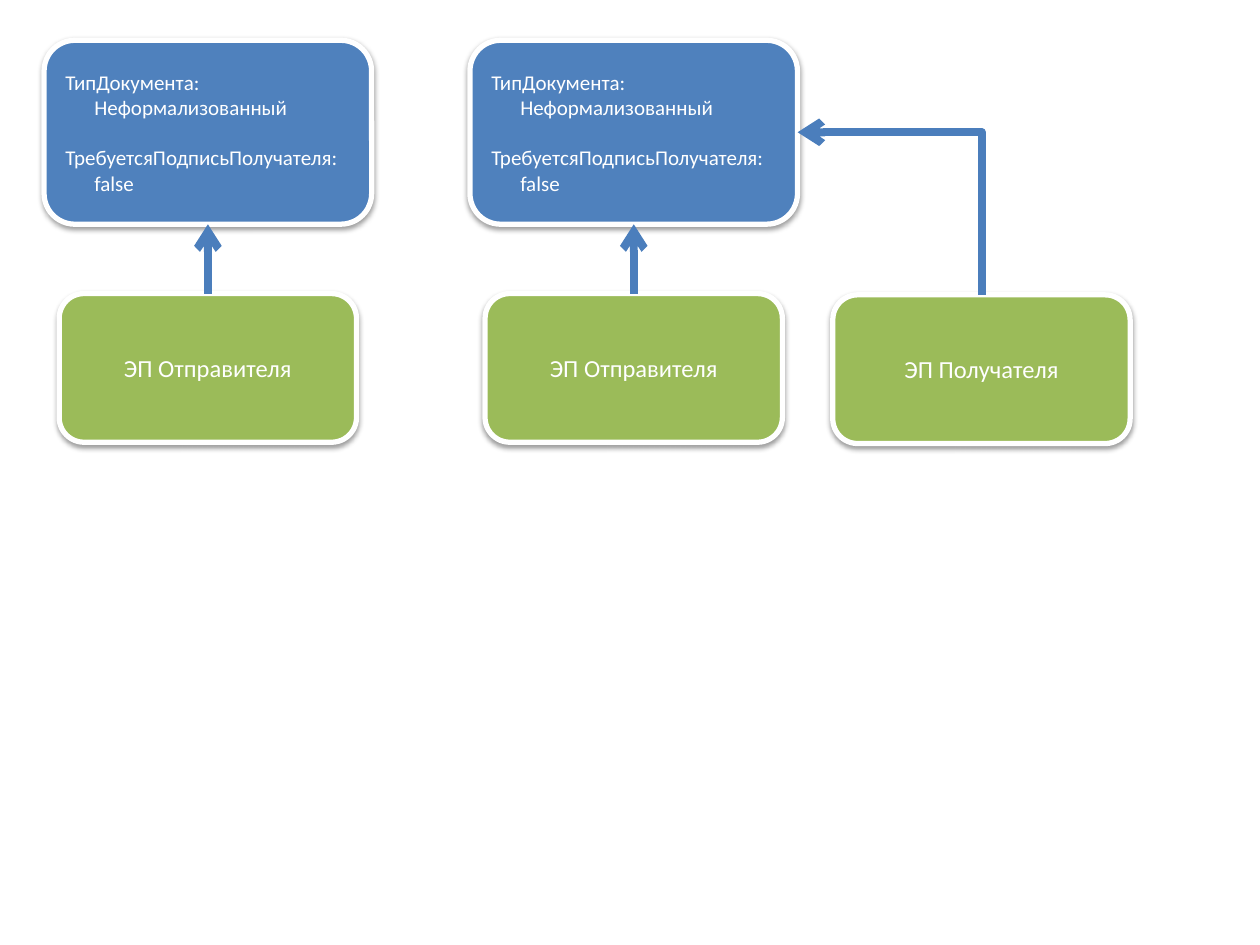
from dataclasses import dataclass

from pptx import Presentation
from pptx.dml.color import RGBColor
from pptx.enum.shapes import MSO_CONNECTOR, MSO_SHAPE
from pptx.enum.text import MSO_ANCHOR, PP_ALIGN
from pptx.oxml import parse_xml
from pptx.oxml.ns import nsdecls
from pptx.util import Inches, Pt


@dataclass(frozen=True)
class Theme:
    font: str = "Calibri"
    document: str = "4F81BD"
    signature: str = "9BBB59"
    arrow: str = "4B7EBC"
    white: str = "FFFFFF"
    document_size: int = 12
    signature_size: int = 14
    border: float = 3
    arrow_width: float = 4.5


THEME = Theme()
TOP, BOTTOM = 0, 2  # connection sites of a rounded rectangle
DOC_W, DOC_H = 2.6, 1.46
SIG_W, SIG_H = 2.36, 1.18
SIG_DY = 2.01  # from the top of a document to the top of its signature


def add_effects(sp, effects=""):
    sp._element.spPr.append(
        parse_xml(f'<a:effectLst {nsdecls("a")}>{effects}</a:effectLst>'))


def add_text(p, text, size, align=PP_ALIGN.LEFT, indent=0, before=0):
    p.alignment = align
    p.space_before = Pt(before)
    if indent:
        p._p.get_or_add_pPr().set("marL", str(Inches(indent)))
    r = p.add_run()
    r.text = text
    r.font.name = THEME.font
    r.font.size = Pt(size)
    r.font.color.rgb = RGBColor.from_string(THEME.white)


def add_card(slide, x, y, w, h, color):
    sp = slide.shapes.add_shape(
        MSO_SHAPE.ROUNDED_RECTANGLE, Inches(x), Inches(y), Inches(w), Inches(h))
    sp.fill.solid()
    sp.fill.fore_color.rgb = RGBColor.from_string(color)
    sp.line.color.rgb = RGBColor.from_string(THEME.white)
    sp.line.width = Pt(THEME.border)
    add_effects(sp, f'<a:outerShdw blurRad="{Pt(3.1)}" dist="{Pt(1.6)}" '
                    'dir="5400000" rotWithShape="0"><a:srgbClr val="000000">'
                    '<a:alpha val="38000"/></a:srgbClr></a:outerShdw>')
    sp.text_frame.word_wrap = True
    sp.text_frame.vertical_anchor = MSO_ANCHOR.MIDDLE
    return sp


def add_document(slide, x, y):
    sp = add_card(slide, x, y, DOC_W, DOC_H, THEME.document)
    tf = sp.text_frame
    fields = [("ТипДокумента:", "Неформализованный"),
              ("ТребуетсяПодписьПолучателя:", "false")]
    for i, (name, value) in enumerate(fields):
        p = tf.add_paragraph() if i else tf.paragraphs[0]
        add_text(p, name, THEME.document_size, before=14.6 * i)
        add_text(tf.add_paragraph(), value, THEME.document_size, indent=0.23)
    return sp


def add_signature(slide, x, y, text):
    sp = add_card(slide, x, y, SIG_W, SIG_H, THEME.signature)
    add_text(sp.text_frame.paragraphs[0], text, THEME.signature_size,
             align=PP_ALIGN.CENTER)
    return sp


def add_arrow(slide, kind, *ends):
    cxn = slide.shapes.add_connector(kind, *ends)
    cxn.line.color.rgb = RGBColor.from_string(THEME.arrow)
    cxn.line.width = Pt(THEME.arrow_width)
    ln = cxn.line._get_or_add_ln()
    for tag in ("<a:round {}/>", '<a:tailEnd {} type="arrow"/>'):
        ln.append(parse_xml(tag.format(nsdecls("a"))))
    add_effects(cxn)
    return cxn


def add_corner_arrow(slide, x1, y1, x2, y2):
    """Go up from (x1, y1), then left to (x2, y2)."""
    cx, cy = (x1 + x2) / 2, (y1 + y2) / 2
    dx, dy = (y1 - y2) / 2, (x1 - x2) / 2  # sides swap under the quarter turn
    cxn = add_arrow(slide, MSO_CONNECTOR.ELBOW, Inches(cx - dx),
                    Inches(cy + dy), Inches(cx + dx), Inches(cy - dy))
    spPr = cxn._element.spPr
    spPr.xfrm.set("rot", str(270 * 60000))
    spPr.prstGeom.set("prst", "bentConnector2")


def add_signed_document(slide, x, y, recipient=False):
    # Document with the sender's signature below
    doc = add_document(slide, x, y)
    sender = add_signature(slide, x + (DOC_W - SIG_W) / 2, y + SIG_DY,
                           "ЭП Отправителя")
    cxn = add_arrow(slide, MSO_CONNECTOR.STRAIGHT, 0, 0, 0, 0)
    cxn.begin_connect(sender, TOP)
    cxn.end_connect(doc, BOTTOM)
    # Recipient's signature to the right
    if recipient:
        sig_x, sig_y = x + 2.88, y + SIG_DY + 0.01
        add_signature(slide, sig_x, sig_y, "ЭП Получателя")
        add_corner_arrow(slide, sig_x + SIG_W / 2, sig_y,
                         x + DOC_W, y + DOC_H / 2)


prs = Presentation()
prs.slide_width, prs.slide_height = Inches(10), Inches(7.5)
slide = prs.slides.add_slide(prs.slide_layouts[6])
add_signed_document(slide, 0.35, 0.32)
add_signed_document(slide, 3.73, 0.32, recipient=True)
prs.save("out.pptx")
